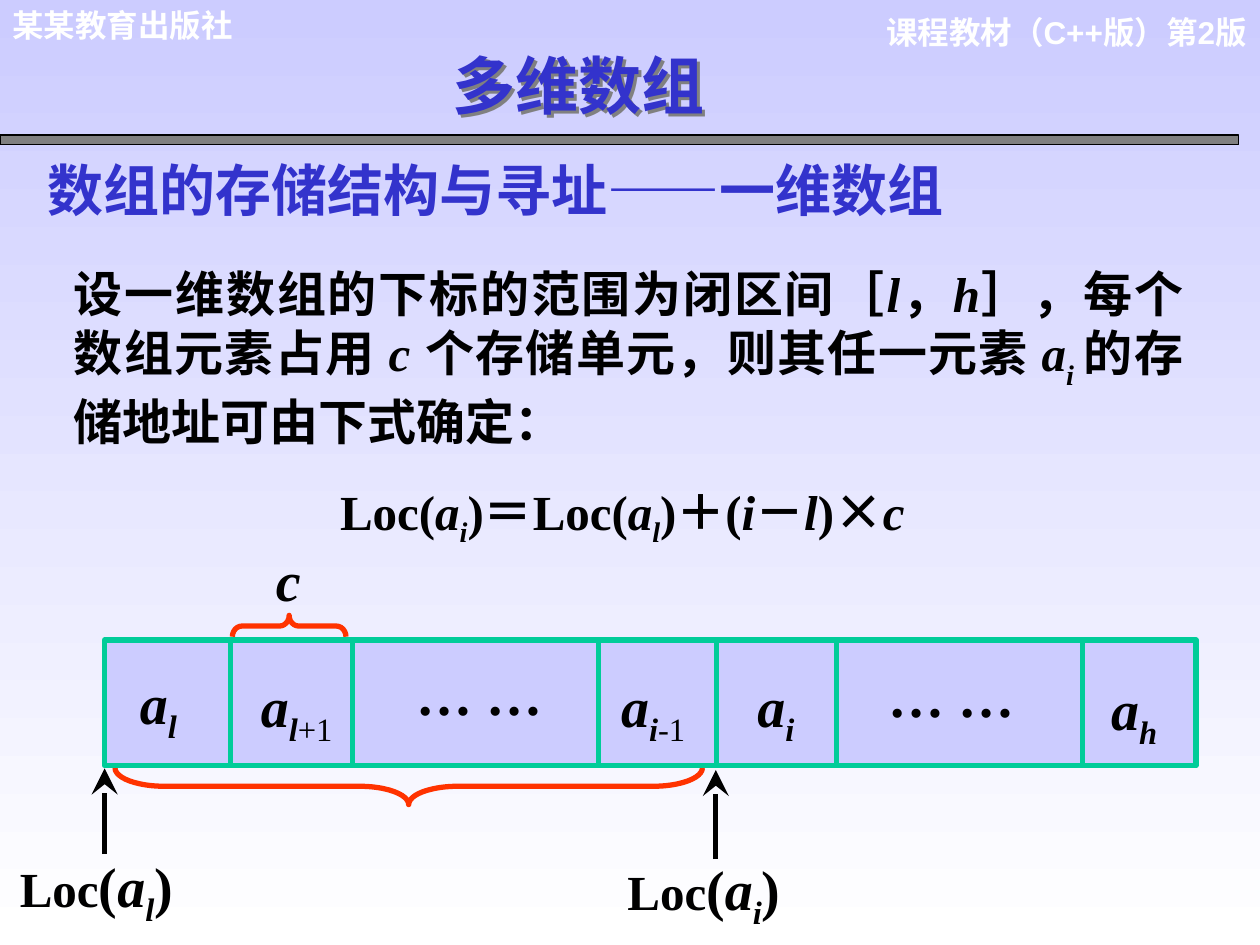
from lxml.etree import SubElement
from pptx import Presentation
from pptx.dml.color import RGBColor
from pptx.enum.shapes import MSO_CONNECTOR as Link, MSO_SHAPE as Preset
from pptx.enum.text import MSO_ANCHOR as Anchor, MSO_AUTO_SIZE as AutoSize, PP_ALIGN as Align
from pptx.oxml import parse_xml
from pptx.oxml.ns import nsdecls, qn
from pptx.util import Cm, Pt

COLORS = {
    "sky": "CCCCFF", "white": "FFFFFF", "black": "000000", "bar": "808080",
    "heading": "3333CC", "cell_line": "00CC99", "brace": "FF3300",
}
CJK, SERIF = "Noto Sans CJK SC", "Times New Roman"

# Run styles: font attributes plus an optional subscript offset
ROMAN = {"name": SERIF}
HAN = {"name": CJK}
COMIC = {"name": "Comic Neue"}
VAR = {"name": SERIF, "italic": True}
SUB = {**VAR, "baseline": -25}
LOW = {**VAR, "baseline": -30}
PLAIN_SUB = {"name": SERIF, "bold": False, "baseline": -25}
BIG = {"name": SERIF, "size": Pt(32)}
BIG_VAR = {**BIG, "italic": True}
BIG_SUB = {**BIG_VAR, "baseline": -25}
HEADER = {"name": "Arial"}

TITLE = [("多维数组", HAN)]
DEFINITION = [
    ("设一维数组的下标的范围为闭区间", ROMAN), ("［", HAN), ("l", VAR), ("，", ROMAN),
    ("h", VAR), ("］，每个数组元素占用 ", HAN), ("c ", VAR), ("个存储单元，则", HAN),
    ("其", ROMAN), ("任一元", COMIC), ("素 ", HAN), ("a", VAR), ("i ", LOW),
    ("的存储地址可由下式确定：", ROMAN),
]
FORMULA = [
    ("Loc(", ROMAN), ("a", VAR), ("i", SUB), (")", ROMAN), ("＝", HAN),
    ("Loc(", ROMAN), ("a", VAR), ("l", SUB), (")", ROMAN), ("＋", HAN),
    ("(", ROMAN), ("i", VAR), ("－", HAN), ("l", VAR), (")", ROMAN),
    ("×", HAN), ("c ", VAR),
]

# Text, box, size, colour, alignment
HEADINGS = [
    ([("课程教材（C++版）第2版", HEADER)], (17.58, 0.13, 7.8, 1.78), 18, "white", Align.RIGHT),
    ([("某某教育出版社", HEADER)], (0, 0, 6.88, 1.02), 18, "white", Align.LEFT),
    ([("数组的存储结构与寻址——一维数组", ROMAN)], (0.71, 3, 22.43, 1.63), 32, "heading", Align.LEFT),
]

ARRAY = (2.11, 12.9, 22, 2.54)
DIVIDERS = [4.65, 7.11, 12.06, 14.45, 16.87, 21.82]
# Index parts, left, top
ELEMENTS = [
    ([("l", SUB)], 2.82, 13.34),
    ([("l", SUB), ("+1", PLAIN_SUB)], 5.26, 13.41),
    ([("i", SUB), ("-1", PLAIN_SUB)], 12.52, 13.41),
    ([("i", SUB)], 15.27, 13.41),
    ([("h", SUB)], 22.4, 13.46),
]
ELLIPSES = [(7.87, 13.16), (17.4, 13.21)]
# Preset, centre x, centre y, depth, span, curve radius relative to depth
BRACES = [
    (Preset.LEFT_BRACE, 8.24, 15.85, 0.74, 11.84, 1.34),
    (Preset.RIGHT_BRACE, 5.83, 12.62, 0.43, 2.29, 0.45),
]
# Index, label left, label top, arrow x, arrow start y, arrow end y
ADDRESSES = [
    ("l", 0.15, 17.17, 2.11, 17.22, 15.49),
    ("i", 12.4, 17.22, 14.43, 17.32, 15.52),
]
ARROWHEAD = {"type": "stealth", "w": "lg", "len": "lg"}


def rgb(key):
    return RGBColor.from_string(COLORS[key])


def place(shape, box):
    for side, length in zip(("left", "top", "width", "height"), box):
        setattr(shape, side, Cm(length))


def write(paragraph, parts, size, color, align=Align.LEFT, after=0):
    properties = paragraph._p.get_or_add_pPr()
    properties.set("marL", "0")
    properties.set("indent", "0")
    SubElement(properties, qn("a:buNone"))
    layout = {"alignment": align, "space_before": Pt(0), "space_after": Pt(after)}
    for attribute, value in layout.items():
        setattr(paragraph, attribute, value)
    for text, style in parts:
        run = paragraph.add_run()
        run.text = text
        formats = {"size": Pt(size), "bold": True, "italic": False, **style}
        baseline = formats.pop("baseline", 0)
        for attribute, value in formats.items():
            setattr(run.font, attribute, value)
        run.font.color.rgb = rgb(color)
        run_properties = run._r.get_or_add_rPr()
        if baseline:
            run_properties.set("baseline", str(baseline * 1000))
        SubElement(run_properties, qn("a:ea")).set("typeface", CJK)


def set_frame(frame, inset_x=0.25, inset_y=0.13):
    formats = {
        "word_wrap": True, "auto_size": AutoSize.NONE, "vertical_anchor": Anchor.TOP,
        "margin_left": Cm(inset_x), "margin_right": Cm(inset_x),
        "margin_top": Cm(inset_y), "margin_bottom": Cm(inset_y),
    }
    for attribute, value in formats.items():
        setattr(frame, attribute, value)


def add_text(slide, parts, box, size=32, color="black", align=Align.LEFT, insets=(0.25, 0.13)):
    frame = slide.shapes.add_textbox(*map(Cm, box)).text_frame
    set_frame(frame, *insets)
    write(frame.paragraphs[0], parts, size, color, align)


def add_preset(slide, preset, box, line, width, fill=None):
    shape = slide.shapes.add_shape(preset, *map(Cm, box))
    shape.shadow.inherit = False
    if fill:
        shape.fill.solid()
        shape.fill.fore_color.rgb = rgb(fill)
    else:
        shape.fill.background()
    shape.line.color.rgb = rgb(line)
    shape.line.width = Pt(width)
    return shape


def add_line(slide, start, end, color, arrow=False):
    line = slide.shapes.add_connector(Link.STRAIGHT, *map(Cm, (*start, *end)))
    line.line.color.rgb = rgb(color)
    line.line.width = Pt(3)
    if arrow:
        SubElement(line.line._get_or_add_ln(), qn("a:tailEnd"), ARROWHEAD)
    SubElement(line._element.spPr, qn("a:effectLst"))


def fill_placeholders(slide):
    title, body = slide.placeholders
    place(title, (5.13, 0.81, 13.08, 1.78))
    place(body, (1.24, 5.18, 22.86, 5.99))
    for holder in (title, body):
        set_frame(holder.text_frame)
    write(title.text_frame.paragraphs[0], TITLE, 36, "heading", Align.CENTER)
    title.fill.background()
    title._element.spPr.append(parse_xml(
        f'<a:effectLst {nsdecls("a")}><a:outerShdw dist="25400" dir="2700000">'
        f'<a:srgbClr val="{COLORS["bar"]}"/></a:outerShdw></a:effectLst>'))
    write(body.text_frame.paragraphs[0], DEFINITION, 28, "black", Align.JUSTIFY, after=17.5)
    write(body.text_frame.add_paragraph(), FORMULA, 28, "black", Align.CENTER)


def draw_array(slide):
    for preset, x, y, depth, span, radius in BRACES:
        box = (x - depth / 2, y - span / 2, depth, span)
        brace = add_preset(slide, preset, box, "brace", 3)
        brace.rotation = 270
        brace.adjustments[0] = radius
    add_text(slide, [("c", VAR)], (5.31, 11, 0.99, 1.35), insets=(0.25, 0))
    add_preset(slide, Preset.RECTANGLE, ARRAY, "cell_line", 3, "sky")
    top, bottom = ARRAY[1], ARRAY[1] + ARRAY[3]
    for x in DIVIDERS:
        add_line(slide, (x, top), (x, bottom), "cell_line")
    for index, left, label_top in ELEMENTS:
        add_text(slide, [("a", VAR), *index], (left, label_top, 1.9, 1.8), insets=(0, 0.13))
    for left, label_top in ELLIPSES:
        add_text(slide, [("… …", ROMAN)], (left, label_top, 3.58, 1.63),
                 align=Align.CENTER, insets=(0, 0.13))


def draw_addresses(slide):
    for index, left, top, x, start, end in ADDRESSES:
        add_line(slide, (x, start), (x, end), "black", arrow=True)
        label = [("Loc", ROMAN), ("(", BIG), ("a", BIG_VAR), (index, BIG_SUB), (")", BIG)]
        add_text(slide, label, (left, top, 4.29, 1.55), 28, insets=(0.25, 0))


def main():
    deck = Presentation()
    deck.slide_width, deck.slide_height = Cm(25.4), Cm(19.05)
    slide = deck.slides.add_slide(deck.slide_layouts[1])
    backdrop = slide.background.fill
    backdrop.gradient()
    backdrop.gradient_angle = 270
    for stop, position, color in zip(backdrop.gradient_stops, (0, 1), ("sky", "white")):
        stop.position = position
        stop.color.rgb = rgb(color)
    fill_placeholders(slide)
    add_preset(slide, Preset.RECTANGLE, (0, 2.72, 24.97, 0.2), "black", 0.75, "bar")
    for heading in HEADINGS:
        add_text(slide, *heading)
    draw_array(slide)
    draw_addresses(slide)
    deck.save("out.pptx")


if __name__ == "__main__":
    main()
